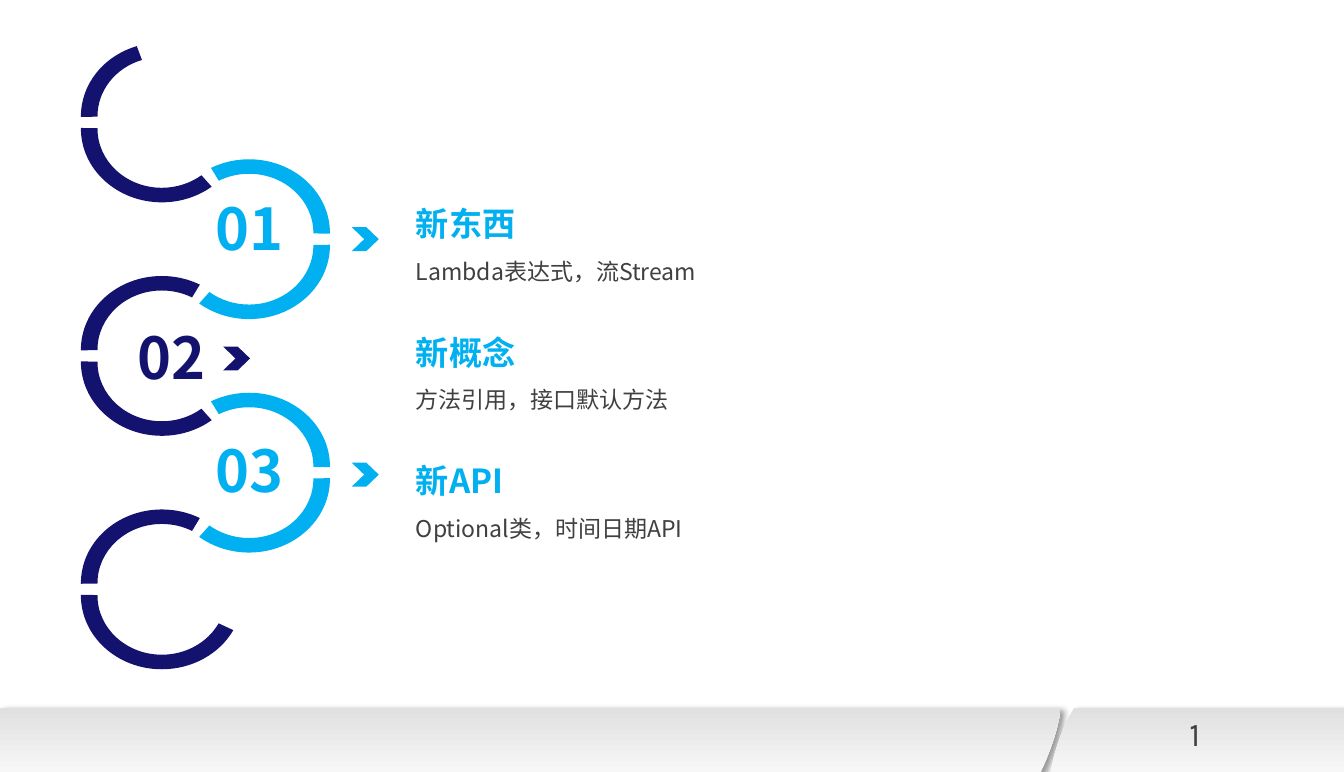
import math
from lxml import etree
from pptx import Presentation, util as u
from pptx.dml.color import RGBColor
from pptx.enum import shapes, text
from pptx.oxml import ns

WIDTH, HEIGHT = 12.95, 7.44
COLORS = {"sky": "00B0F0", "navy": "14126F", "ink": "404040",
          "light": "F7F7F7", "shade": "E0E0E0", "shadow": "000000"}
CJK, LATIN = "Noto Sans CJK SC", "Karla"

TOPICS = [
    ("01", "sky", (1.98, 1.81), (3.39, 2.19), 2.91, "新东西", "Lambda表达式，流Stream"),
    ("02", "navy", (1.23, 3.05), (2.15, 3.34), 5.48, "新概念", "方法引用，接口默认方法"),
    ("03", "sky", (1.98, 4.14), (3.39, 4.46), 2.82, "新API", "Optional类，时间日期API"),
]
TOPIC_LEFT, TOPIC_TOP, TOPIC_PITCH = 3.91, 1.72, 1.24

RING_SWEEPS = [(-18, 38), (28, 38), (28, 38), (28, 38), (28, 62)]
RING_LEFTS = {-1: 0.78, 1: 1.62}
RING_TOP, RING_PITCH, RING_GAP = 0.41, 1.125, 0.12
RING_SIZE = (1.56, 1.42)
OUTER, INNER = (0.78, 0.71), (0.62, 0.57)
ARC_END = 90.5

FOOTER_TOP = 6.82
FOOTER_PARTS = [
    ((0, 10.22), 0, [(10.03, HEIGHT), (10.16, 7.15), (10.21, 6.94), (10.22, FOOTER_TOP)]),
    ((10.12, WIDTH), WIDTH,
     [(10.12, HEIGHT), (10.19, 7.11), (10.29, 6.92), (10.36, FOOTER_TOP)]),
]


def rgb(name):
    return RGBColor.from_string(COLORS[name])


def add_outline(parent, box, steps):
    left, top, width, height = box
    corners = [(u.Inches(x), u.Inches(y)) for x, y in (
        (left, top), (left + width, top), (left + width, top + height), (left, top + height))]
    builder = parent.build_freeform(*corners[0])
    builder.add_line_segments(corners[1:], close=True)
    shape = builder.convert_to_shape()
    outline = next(shape._element.spPr.iter(ns.qn("a:path")))
    for child in list(outline):
        outline.remove(child)
    for kind, points in steps:
        step = etree.SubElement(outline, ns.qn("a:" + kind))
        for x, y in points:
            etree.SubElement(step, ns.qn("a:pt"),
                             x=str(int(u.Inches(x - left))), y=str(int(u.Inches(y - top))))
    shape.shadow.inherit = False
    shape.line.fill.background()
    return shape


def fill_solid(shape, color):
    shape.fill.solid()
    shape.fill.fore_color.rgb = rgb(color)


def add_shadow(shape):
    effects = shape._element.spPr.find(ns.qn("a:effectLst"))
    shadow = etree.SubElement(
        effects, ns.qn("a:outerShdw"), blurRad=str(u.Pt(4)), dist=str(u.Pt(3)),
        dir=str(45 * 60000), algn="tl", rotWithShape="0")
    tint = etree.SubElement(shadow, ns.qn("a:srgbClr"), val=COLORS["shadow"])
    etree.SubElement(tint, ns.qn("a:alpha"), val="40000")


def add_footer(page):
    for (left, right), side, edge in FOOTER_PARTS:
        steps = [("moveTo", edge[:1]), ("cubicBezTo", edge[1:]),
                 ("lnTo", [(side, FOOTER_TOP)]), ("lnTo", [(side, HEIGHT)]), ("close", [])]
        box = left, FOOTER_TOP, right - left, HEIGHT - FOOTER_TOP
        part = add_outline(page.shapes, box, steps)
        part.fill.gradient()
        part.fill.gradient_angle = 90
        for stop, position, color in zip(part.fill.gradient_stops, (0, 1), ("light", "shade")):
            stop.position = position
            stop.color.rgb = rgb(color)
        add_shadow(part)


def arc_steps(center, radii, side, half, angles):
    def place(across, down):
        return (center[0] + side * radii[0] * across, center[1] + half * radii[1] * down)

    turns = [math.radians(angle) for angle in angles]
    yield place(math.sin(turns[0]), math.cos(turns[0]))
    for start, end in zip(turns, turns[1:]):
        pull = 4 / 3 * math.tan((end - start) / 4)
        yield [place(math.sin(start) + pull * math.cos(start),
                     math.cos(start) - pull * math.sin(start)),
               place(math.sin(end) - pull * math.cos(end),
                     math.cos(end) + pull * math.sin(end)),
               place(math.sin(end), math.cos(end))]


def add_rings(page):
    chain = page.shapes.add_group_shape()
    for row, sweeps in enumerate(RING_SWEEPS):
        side = 1 if row % 2 else -1
        for index, (half, sweep) in enumerate(zip((-1, 1), sweeps)):
            left = RING_LEFTS[side]
            top = RING_TOP + row * RING_PITCH + index * RING_GAP
            center = left + RING_SIZE[0] / 2, top + RING_SIZE[1] / 2
            angles = [-sweep, 0, ARC_END] if sweep > 0 else [-sweep, ARC_END]
            start, *outer = arc_steps(center, OUTER, side, half, angles)
            turn, *inner = arc_steps(center, INNER, side, half, angles[::-1])
            steps = [("moveTo", [start]), *(("cubicBezTo", curve) for curve in outer),
                     ("lnTo", [turn]), *(("cubicBezTo", curve) for curve in inner),
                     ("close", [])]
            ring = add_outline(chain.shapes, (left, top, *RING_SIZE), steps)
            fill_solid(ring, "sky" if side > 0 else "navy")


def add_text(page, place, lines, insets=(0.1, 0.05), spacing=None):
    box = page.shapes.add_textbox(*(u.Inches(value) for value in place))
    frame = box.text_frame
    frame.text = "\n".join(line[0] for line in lines)
    frame.word_wrap = True
    frame.auto_size = text.MSO_AUTO_SIZE.NONE
    frame.margin_left = frame.margin_right = u.Inches(insets[0])
    frame.margin_top = frame.margin_bottom = u.Inches(insets[1])
    for para, (_, size, color, bold, font) in zip(frame.paragraphs, lines):
        para.line_spacing = spacing
        span = para.runs[0]
        span.font.size = u.Pt(size)
        span.font.bold = bold
        span.font.name = font
        span.font.color.rgb = rgb(color)
        etree.SubElement(span._r.get_or_add_rPr(), ns.qn("a:ea"), typeface=font)


def add_topics(page):
    for row, (number, color, number_at, arrow_at, width, title, detail) in enumerate(TOPICS):
        add_text(page, (*number_at, 0.89, 0.77), [(number, 40, color, True, CJK)])
        arrow = page.shapes.add_shape(
            shapes.MSO_SHAPE.CHEVRON,
            *(u.Inches(value) for value in (*arrow_at, 0.26, 0.23)))
        arrow.adjustments[0] = 0.52
        arrow.shadow.inherit = False
        arrow.line.fill.background()
        fill_solid(arrow, color)
        add_text(page, (TOPIC_LEFT, TOPIC_TOP + row * TOPIC_PITCH, width, 1.09),
                 [(title, 23, "sky", True, CJK), (detail, 16, "ink", False, CJK)],
                 spacing=1.5)


def main():
    deck = Presentation()
    deck.slide_width, deck.slide_height = u.Inches(WIDTH), u.Inches(HEIGHT)
    page = deck.slides.add_slide(deck.slide_layouts[6])
    add_footer(page)
    add_text(page, (11.33, 6.81, 0.85, 0.53),
             [("1", 23, "ink", False, LATIN)], insets=(0.13, 0.07))
    add_rings(page)
    add_topics(page)
    deck.save("out.pptx")


if __name__ == "__main__":
    main()
